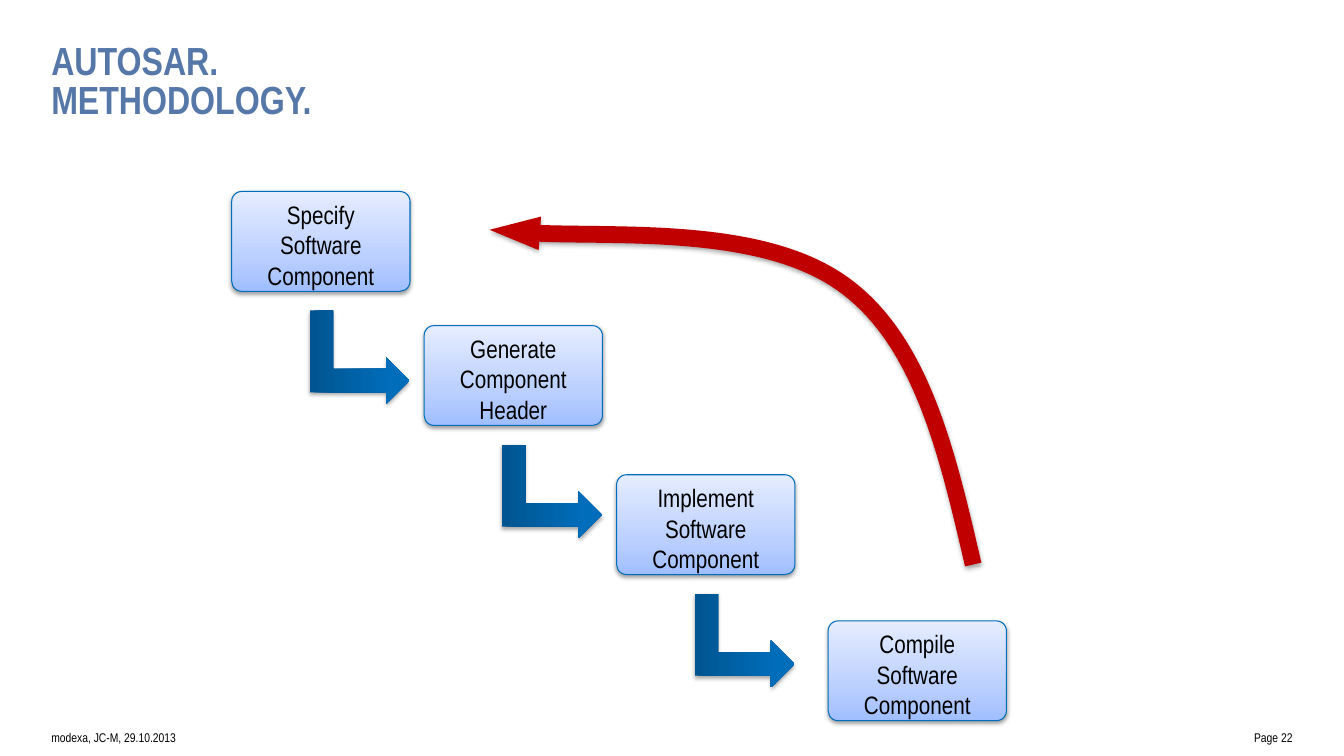
"""Build the AUTOSAR methodology slide: four steps down a staircase and a loop back."""
import copy
import pptx
import pptx.dml.color
import pptx.enum.shapes
import pptx.enum.text
import pptx.oxml
import pptx.oxml.ns
import pptx.util

RGB = pptx.dml.color.RGBColor
SHAPE = pptx.enum.shapes.MSO_SHAPE
ALIGN = pptx.enum.text.PP_ALIGN
ANCHOR = pptx.enum.text.MSO_ANCHOR
Pt = pptx.util.Pt
qn = pptx.oxml.ns.qn

BLACK = RGB(0x00, 0x00, 0x00)
TITLE_BLUE = RGB(0x56, 0x78, 0xA9)
EDGE_BLUE = RGB(0x00, 0x6E, 0xBC)
RED = RGB(0xC0, 0x00, 0x00)
BOX_STOPS = [(0, RGB(0xA0, 0xBE, 0xFF)), (0.35, RGB(0xBC, 0xD0, 0xFF)), (1, RGB(0xE5, 0xED, 0xFF))]
ARROW_STOPS = [(0, RGB(0x00, 0x54, 0x8F)), (0.8, RGB(0x00, 0x6D, 0xBA)), (1, RGB(0x00, 0x6D, 0xBB))]

prs = pptx.Presentation()
prs.slide_width = pptx.util.Inches(13.34)
prs.slide_height = pptx.util.Inches(7.5)
col, row = prs.slide_width / 100, prs.slide_height / 100
slide = prs.slides.add_slide(prs.slide_layouts[6])


def write(tf, lines, align, size, color, **fmt):
    """Fill a text frame with one paragraph per line."""
    tf.word_wrap = True
    for i, line in enumerate(lines):
        p = tf.paragraphs[0] if i == 0 else tf.add_paragraph()
        p.alignment = align
        p.line_spacing = fmt.get("spacing")
        r = p.add_run()
        r.text = line
        r.font.color.rgb = color
        for name, value in {"name": "Arial Narrow", "size": Pt(size), "bold": fmt.get("bold", False)}.items():
            setattr(r.font, name, value)


def finish(sp, stops, alpha, dist):
    """Give a shape its upward gradient, if any, and a soft shadow below."""
    if stops:
        sp.fill.gradient()
        sp.fill.gradient_angle = 90
        gs_lst = sp._element.spPr.find(".//" + qn("a:gsLst"))
        gs_lst.append(copy.deepcopy(gs_lst[-1]))
        for stop, (position, color) in zip(sp.fill.gradient_stops, stops):
            stop.position = position
            stop.color.rgb = color
    sp.shadow.inherit = False
    sp._element.spPr.find(qn("a:effectLst")).append(pptx.oxml.parse_xml(
        f'<a:outerShdw {pptx.oxml.ns.nsdecls("a")} blurRad="{Pt(3.1)}" dist="{Pt(dist)}" '
        f'dir="5400000" rotWithShape="0"><a:srgbClr val="000000">'
        f'<a:alpha val="{alpha * 1000}"/></a:srgbClr></a:outerShdw>'))


labels = [
    (3.82, 5.87, 92.35, 14, ANCHOR.TOP, ["AUTOSAR.", "METHODOLOGY."],
     ALIGN.LEFT, 28, TITLE_BLUE, {"bold": True, "spacing": Pt(28)}),
    (3.82, 95.2, 32.98, 4.8, ANCHOR.MIDDLE, ["modexa, JC-M, 29.10.2013"], ALIGN.LEFT, 9, BLACK, {}),
    (71.66, 95.2, 24.51, 4.8, ANCHOR.MIDDLE, ["Page 22"], ALIGN.RIGHT, 9, BLACK, {}),
]
for x, y, w, h, anchor, lines, align, size, color, fmt in labels:
    tf = slide.shapes.add_textbox(int(x * col), int(y * row), int(w * col), int(h * row)).text_frame
    for name, value in {"margin_left": 0, "margin_right": 0, "margin_top": 0,
                        "margin_bottom": 0, "vertical_anchor": anchor}.items():
        setattr(tf, name, value)
    write(tf, lines, align, size, color, **fmt)

steps = [
    (17.24, 25.33, "Specify Software Component"),
    (31.56, 43.07, "Generate Component Header"),
    (45.88, 62.8, "Implement Software Component"),
    (61.62, 82.13, "Compile Software Component"),
]
for i, (x, y, label) in enumerate(steps):
    sp = slide.shapes.add_shape(SHAPE.ROUNDED_RECTANGLE, int(x * col), int(y * row),
                                int(13.27 * col), int(13.2 * row))
    sp.adjustments[0] = 0.1
    finish(sp, BOX_STOPS, 38, 1.6)
    sp.line.color.rgb = EDGE_BLUE
    sp.line.width = Pt(0.75)
    sp.text_frame.vertical_anchor = ANCHOR.TOP
    write(sp.text_frame, [label], ALIGN.CENTER, 18, BLACK)
    if i < len(steps) - 1:
        sp = slide.shapes.add_shape(SHAPE.BENT_UP_ARROW, int((x + 6.03) * col), int((y + 15.33) * row),
                                    int(6.97 * col), int(13.2 * row))
        sp.rotation = 90
        finish(sp, ARROW_STOPS, 35, 1.8)
        sp.line.fill.background()

curve = [(72.41, 74.67), (70.46, 59.73), (68.52, 44.67), (62.52, 37.33),
         (56.52, 30), (40.78, 31.6), (36.43, 30.4)]
points = [(int(x * col), int(y * row)) for x, y in curve]
builder = slide.shapes.build_freeform(*points[0])
builder.add_line_segments(points[1:], close=False)
sp = builder.convert_to_shape()
segments = sp._element.spPr.findall(".//" + qn("a:lnTo"))
for start in range(0, len(segments), 3):
    bezier = pptx.oxml.parse_xml(f'<a:cubicBezTo {pptx.oxml.ns.nsdecls("a")}/>')
    segments[start].addprevious(bezier)
    for segment in segments[start:start + 3]:
        bezier.append(segment[0])
        segment.getparent().remove(segment)
sp.fill.background()
sp.line.color.rgb = RED
sp.line.width = Pt(12)
sp._element.spPr.find(qn("a:ln")).append(pptx.oxml.parse_xml(
    f'<a:tailEnd {pptx.oxml.ns.nsdecls("a")} type="triangle" w="sm" len="med"/>'))
finish(sp, None, 35, 1.8)

prs.save("out.pptx")
